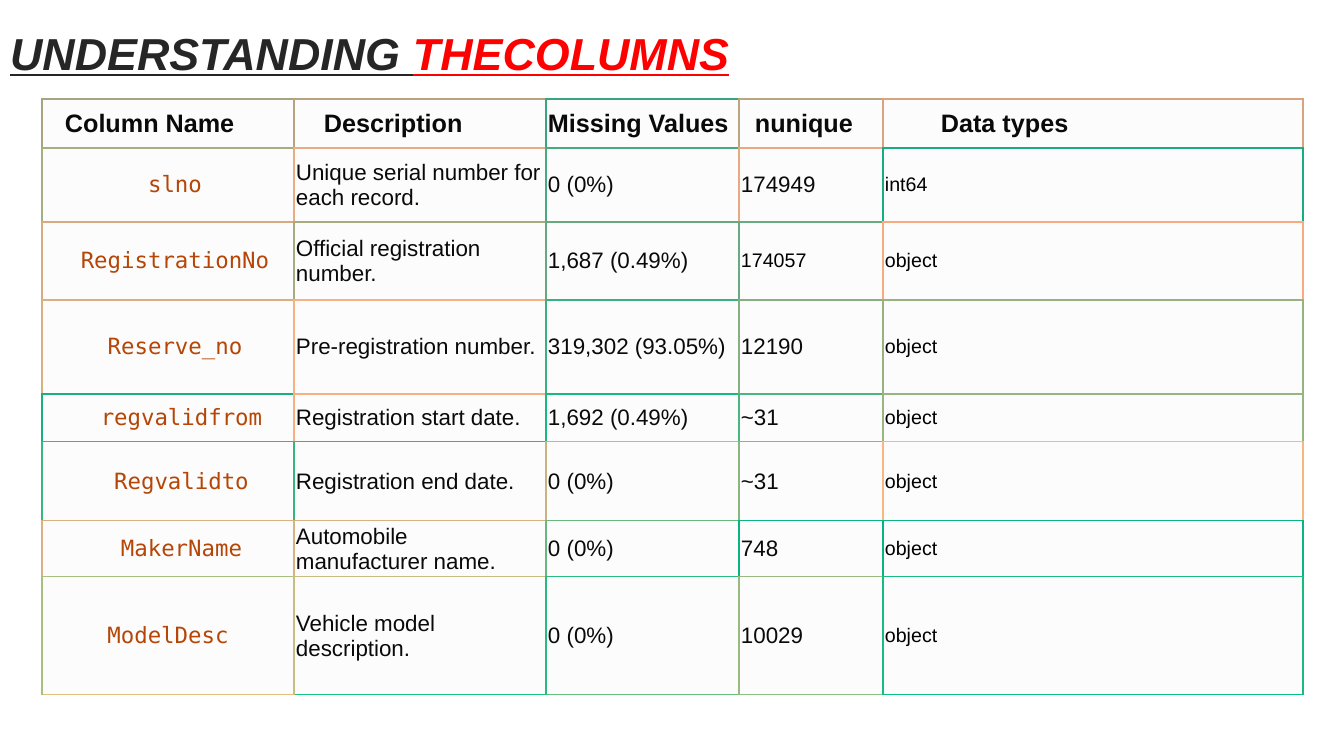
"""Build the slide that describes the columns of a vehicle registration data set."""
from dataclasses import dataclass

from lxml.etree import SubElement
from pptx import Presentation
from pptx.dml.color import RGBColor
from pptx.enum.text import MSO_ANCHOR, MSO_AUTO_SIZE, PP_ALIGN
from pptx.oxml.ns import qn
from pptx.util import Pt

TITLE = ("UNDERSTANDING ", "THECOLUMNS")
HEADERS = ("Column Name", "Description", "Missing Values", "nunique", "Data types")
RECORDS = (
    ("slno", "Unique serial number for each record.", "0 (0%)", "174949", "int64"),
    ("RegistrationNo", "Official registration number.", "1,687 (0.49%)", "174057", "object"),
    ("Reserve_no", "Pre-registration number.", "319,302 (93.05%)", "12190", "object"),
    ("regvalidfrom", "Registration start date.", "1,692 (0.49%)", "~31", "object"),
    ("Regvalidto", "Registration end date.", "0 (0%)", "~31", "object"),
    ("MakerName", "Automobile manufacturer name.", "0 (0%)", "748", "object"),
    ("ModelDesc", "Vehicle model description.", "0 (0%)", "10029", "object"),
)
SMALL_VALUES = {"174057", "int64", "object"}
EDGE_COLORS = (
    "A8A480 B8A380 38A580 B8A680 D8A480".split(),
    "A8AD80 E8AC80 48AA80 E8A980 18AD80".split(),
    "D8AA80 A8AA80 68A880 68AB80 F8AB80".split(),
    "D8B080 F8B180 38B180 88AF80 98B180".split(),
    "18B080 F8AE80 18B980 48B680 98B480".split(),
    "38B780 38B480 C8B480 88B880 F8B780".split(),
    "D8B380 D8B380 68B780 08B480 08B480".split(),
    "A8BF80 C8BD80 28BB80 98BA80 18BC80".split(),
    "E8BE80 18C580 68C080 88C480 08C380".split(),
)

SLIDE_SIZE = (1344, 756)
TITLE_BOX = (0, 20, 1029, 65)
TABLE_ORIGIN = (42, 99)
COLUMN_WIDTHS = (252, 252, 193, 144, 420)
ROW_HEIGHTS = (49, 74, 78, 94, 48, 79, 56, 118)
HEADER_INDENTS = (21, 28, 0, 14, 56)
NAME_INDENTS = (14, 14, 14, 14, 27, 27, 27, 0)
CELL_INSET = (2, 1)


@dataclass(frozen=True)
class Theme:
    """Colours, fonts and type sizes."""
    sans: str = "Arial"
    mono: str = "DejaVu Sans Mono"
    title: str = "262626"
    accent: str = "FF0000"
    ink: str = "0A0A0A"
    black: str = "000000"
    name: str = "B54606"
    cell: str = "FCFCFC"
    title_size: int = 32
    header_size: int = 18
    body_size: int = 16
    small_size: int = 14
    edge_width: int = 1


THEME = Theme()


def px(length):
    """Turn px into EMU."""
    return round(length * 12192000 / SLIDE_SIZE[0])


def write(para, text, size, color, font=THEME.sans, bold=False, italic=False,
          underline=False, align=PP_ALIGN.LEFT):
    """Add one formatted span to a paragraph."""
    para.alignment = align
    span = para.add_run()
    span.text = text
    span.font.name, span.font.size = font, Pt(size)
    span.font.bold, span.font.italic, span.font.underline = bold, italic, underline
    span.font.color.rgb = RGBColor.from_string(color)


def draw_edges(cell, colors):
    """Draw the four borders of a cell."""
    properties = cell._tc.get_or_add_tcPr()
    for side, color in colors.items():
        line = SubElement(properties, qn(f"a:ln{side}"), w=str(Pt(THEME.edge_width)))
        SubElement(SubElement(line, qn("a:solidFill")), qn("a:srgbClr"), val=color)


def text_format(row, column, text):
    """Choose the format of a table text."""
    if row == 0:
        return dict(size=THEME.header_size, color=THEME.ink, bold=True)
    if column == 0:
        return dict(size=THEME.body_size, color=THEME.name, font=THEME.mono,
                    align=PP_ALIGN.CENTER)
    if text in SMALL_VALUES:
        return dict(size=THEME.small_size, color=THEME.black)
    return dict(size=THEME.body_size, color=THEME.ink)


def cell_indent(row, column):
    """Return the extra left margin of a cell in px."""
    if row == 0:
        return HEADER_INDENTS[column]
    return NAME_INDENTS[row] if column == 0 else 0


def add_title(page):
    """Fill the title placeholder."""
    box = page.shapes.title
    box.left, box.top, box.width, box.height = map(px, TITLE_BOX)
    frame = box.text_frame
    frame.word_wrap = True
    frame.auto_size = MSO_AUTO_SIZE.NONE
    frame.vertical_anchor = MSO_ANCHOR.MIDDLE
    for text, color in zip(TITLE, (THEME.title, THEME.accent)):
        write(frame.paragraphs[0], text, THEME.title_size, color,
              bold=True, italic=True, underline=True)


def add_column_table(page):
    """Add the table of column descriptions."""
    rows = (HEADERS, *RECORDS)
    bounds = (*TABLE_ORIGIN, sum(COLUMN_WIDTHS), sum(ROW_HEIGHTS))
    table = page.shapes.add_table(len(rows), len(HEADERS), *map(px, bounds)).table
    table.first_row = table.horz_banding = False
    for column, width in zip(table.columns, COLUMN_WIDTHS):
        column.width = px(width)
    for row, height in zip(table.rows, ROW_HEIGHTS):
        row.height = px(height)
    last = len(HEADERS) - 1
    for r, texts in enumerate(rows):
        for c, text in enumerate(texts):
            cell = table.cell(r, c)
            edges = EDGE_COLORS[r]
            draw_edges(cell, {"L": edges[c], "R": edges[min(c + 1, last)],
                              "T": edges[c], "B": EDGE_COLORS[r + 1][c]})
            cell.fill.solid()
            cell.fill.fore_color.rgb = RGBColor.from_string(THEME.cell)
            cell.vertical_anchor = MSO_ANCHOR.MIDDLE
            side, end = map(px, CELL_INSET)
            cell.margin_left = side + px(cell_indent(r, c))
            cell.margin_right = side
            cell.margin_top = cell.margin_bottom = end
            write(cell.text_frame.paragraphs[0], text, **text_format(r, c, text))


def main():
    """Build and save the deck."""
    deck = Presentation()
    deck.slide_width, deck.slide_height = map(px, SLIDE_SIZE)
    page = deck.slides.add_slide(deck.slide_layouts[5])
    add_title(page)
    add_column_table(page)
    deck.save("out.pptx")


if __name__ == "__main__":
    main()
